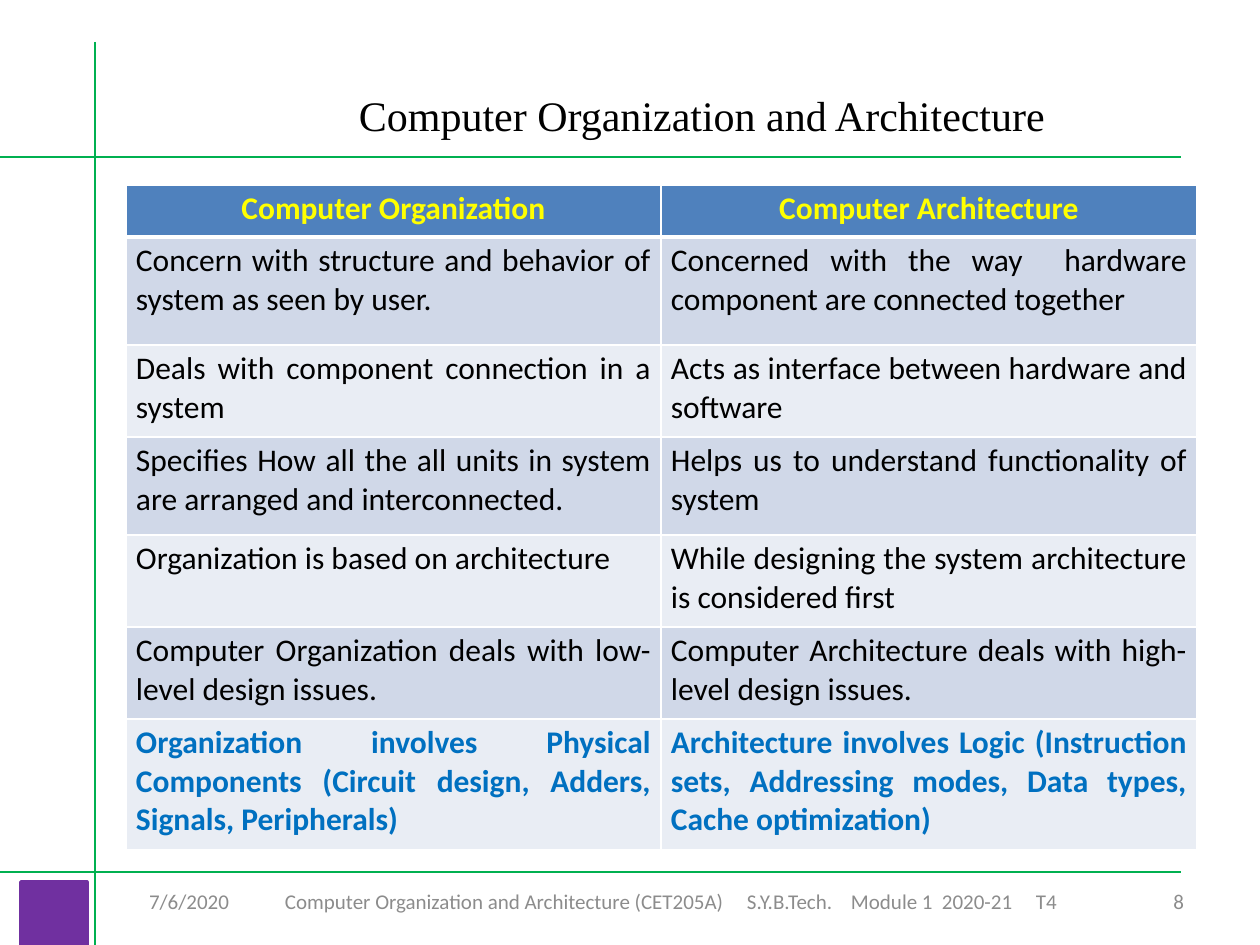
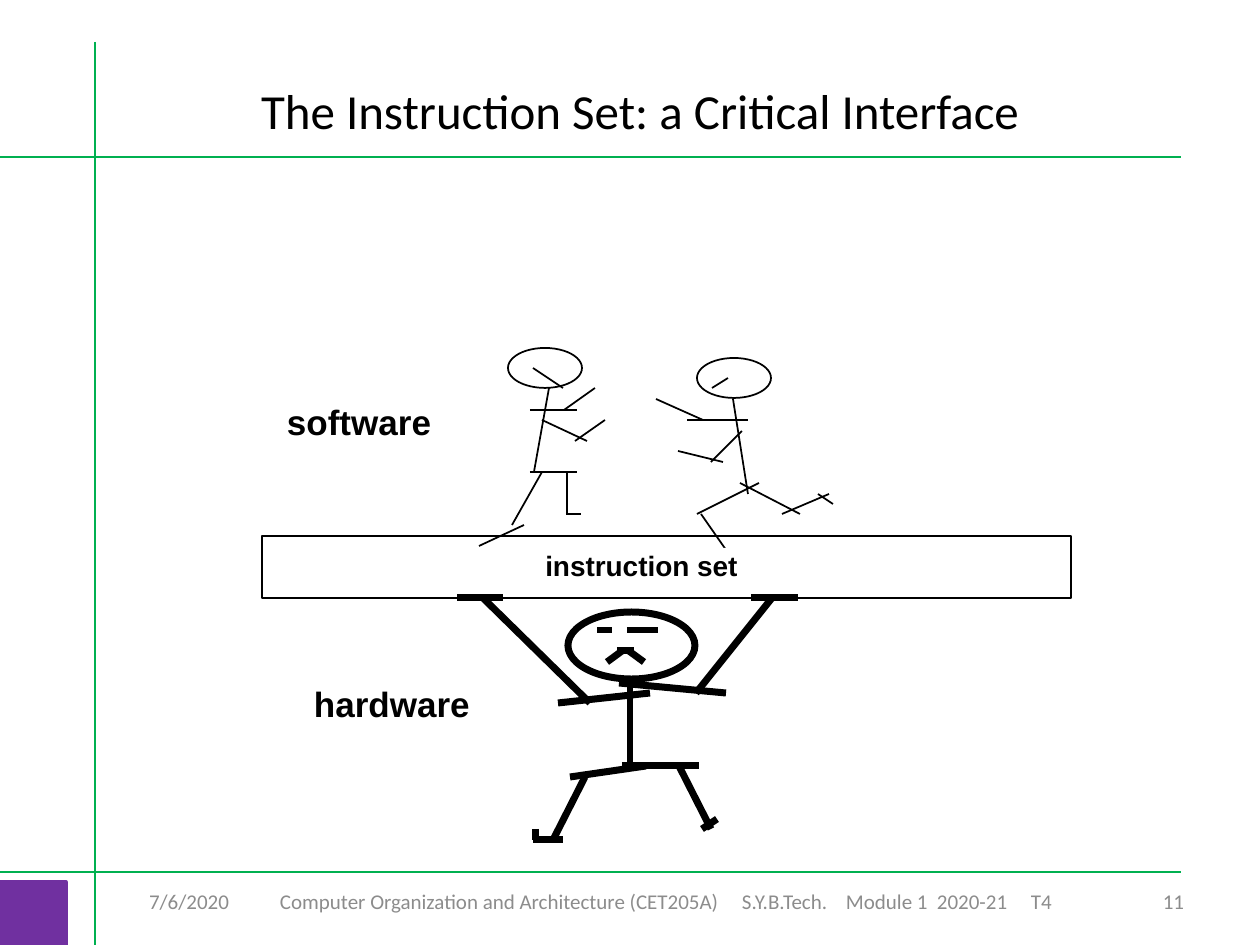
import pptx
import pptx.util
import pptx.dml.color
import pptx.enum.shapes
import pptx.enum.text
import pptx.oxml.ns
from lxml import etree

# ---- Shared look (lengths in px, 126 to the inch) ----
SCALE = 914400 / 126
SLIDE_SIZE = (1260, 945)
COLORS = {
    "rule": "00B050", "corner": "7030A0", "footer": "8C8C8C", "ink": "000000",
    "white": "FFFFFF", "header": "4F81BD", "header_text": "FFFF00",
    "band_dark": "D0D8E8", "band_light": "E9EDF4", "accent": "0070C0",
}
ALIGN = pptx.enum.text.PP_ALIGN
ANCHOR = pptx.enum.text.MSO_ANCHOR
SHAPE = pptx.enum.shapes.MSO_SHAPE

FRAME_RULES = [  # start, end, points
    ((0, 157, 1181, 157), 0.75),
    ((0, 872, 1181, 872), 1.25),
    ((95, 42, 95, 945), 1.25),
]
FOOTER_TOP, FOOTER_HEIGHT = 876, 50
DATE = "7/6/2020"
FOOTER_PARTS = ["Computer Organization and Architecture (CET205A)", "S.Y.B.Tech.",
                "Module 1", "2020-21", "T4"]
FOOTER_TABS = [462, 566, 657, 751]
WIDE_INSETS = (13, 6)
TIGHT_INSETS = (9, 4)

# ---- Slide 1 content: comparison table ----
COMPARISON = [
    ("Computer Organization", "Computer Architecture"),
    ("Concern with structure and behavior of system as seen by user.",
     "Concerned with the way  hardware component are connected together"),
    ("Deals with component connection in a system",
     "Acts as interface between hardware and software"),
    ("Specifies How all the all units in system are arranged and interconnected.",
     "Helps us to understand functionality of system"),
    ("Organization is based on architecture",
     "While designing the system architecture is considered first"),
    ("Computer Organization deals with low-level design issues.",
     "Computer Architecture deals with high-level design issues."),
    ("Organization involves Physical Components (Circuit design, Adders, Signals, Peripherals)",
     "Architecture involves Logic (Instruction sets, Addressing modes, Data types, "
     "Cache optimization)"),
]
ROW_HEIGHTS = [52, 108, 92, 98, 92, 92, 131]
COLUMN_WIDTHS = [535, 536]

# ---- Slide 2 content: stick figures around the instruction set ----
PLATFORM = (262, 536, 809, 62)
FIGURES = [
    {"head": (508, 348, 74, 40), "weight": 1, "strokes": [  # left player
        (549, 388, 534, 472), (530, 472, 577, 472), (567, 472, 567, 514),
        (566, 514, 581, 514), (542, 472, 512, 525), (524, 525, 479, 546),
        (542, 420, 587, 441), (575, 441, 605, 420), (530, 410, 577, 410),
        (564, 410, 595, 388), (563, 388, 533, 368)]},
    {"head": (697, 358, 74, 40), "weight": 1, "strokes": [  # right player
        (733, 399, 748, 494), (759, 483, 697, 514), (701, 514, 731, 557),
        (740, 483, 800, 514), (782, 514, 829, 494), (818, 494, 833, 504),
        (742, 431, 711, 462), (723, 462, 678, 451), (748, 420, 687, 420),
        (703, 420, 656, 399), (712, 388, 728, 378)]},
    {"head": (568, 612, 127, 67), "weight": 4, "strokes": [  # carrier
        (607, 662, 622, 651), (617, 651, 634, 651), (629, 651, 644, 662),
        (627, 630, 658, 630), (612, 630, 597, 630), (536, 829, 536, 840),
        (630, 683, 630, 766), (622, 766, 699, 766), (679, 766, 711, 829),
        (702, 829, 717, 819), (646, 766, 570, 777), (585, 777, 553, 840),
        (563, 840, 533, 840), (619, 683, 726, 693), (696, 693, 772, 598),
        (751, 598, 798, 598), (650, 693, 558, 703), (590, 703, 483, 598),
        (503, 598, 457, 598)]},
]
LABELS = [  # text, box, points, line spacing, alignment, fill
    ("instruction set", (471, 548, 341, 38), 16, 0.92, ALIGN.CENTER, "white"),
    ("software", (278, 403, 214, 43), 20, 0.85, ALIGN.LEFT, None),
    ("hardware", (305, 685, 229, 43), 20, 0.85, ALIGN.LEFT, None),
]


# ---- Helpers ----
def px(length):
    return pptx.util.Emu(round(length * SCALE))


def place(box):
    return [px(length) for length in box]


def rgb(color):
    return pptx.dml.color.RGBColor.from_string(COLORS[color])


def paint(fill, color):
    fill.solid()
    fill.fore_color.rgb = rgb(color)


def style_paragraph(paragraph, size, font, color, bold, align):
    paragraph.alignment = align
    for run in paragraph.runs:
        run.font.size = pptx.util.Pt(size)
        run.font.name = font
        run.font.bold = bold
        run.font.color.rgb = rgb(color)


def add_text(slide, box, text, size, font="Calibri", color="ink", bold=False,
             align=ALIGN.LEFT, anchor=ANCHOR.TOP, insets=WIDE_INSETS, wrap=True, grow=True):
    shape = slide.shapes.add_textbox(*place(box))
    frame = shape.text_frame
    frame.text = text
    frame.word_wrap = wrap
    frame.vertical_anchor = anchor
    frame.margin_left = frame.margin_right = px(insets[0])
    frame.margin_top = frame.margin_bottom = px(insets[1])
    if grow:
        frame.auto_size = pptx.enum.text.MSO_AUTO_SIZE.SHAPE_TO_FIT_TEXT
    style_paragraph(frame.paragraphs[0], size, font, color, bold, align)
    return shape


def add_line(slide, ends, color, weight):
    line = slide.shapes.add_connector(pptx.enum.shapes.MSO_CONNECTOR.STRAIGHT, *place(ends))
    line.line.color.rgb = rgb(color)
    line.line.width = pptx.util.Pt(weight)
    etree.SubElement(line._element.spPr, pptx.oxml.ns.qn("a:effectLst"))


def add_outline(slide, kind, box, line, weight, fill=None):
    shape = slide.shapes.add_shape(kind, *place(box))
    shape.shadow.inherit = False
    if fill:
        paint(shape.fill, fill)
    else:
        shape.fill.background()
    shape.line.color.rgb = rgb(line)
    shape.line.width = pptx.util.Pt(weight)


def add_footer_text(slide, left, width, text, align=ALIGN.LEFT):
    return add_text(slide, (left, FOOTER_TOP, width, FOOTER_HEIGHT), text, 12, color="footer",
                    align=align, anchor=ANCHOR.MIDDLE, grow=False)


def add_frame(presentation, number, corner_left, footer_left, footer_width, footer_inset):
    slide = presentation.slides.add_slide(presentation.slide_layouts[6])
    for ends, weight in FRAME_RULES:
        add_line(slide, ends, "rule", weight)
    add_outline(slide, SHAPE.RECTANGLE, (corner_left, 882, 66, 63), "corner", 2, "corner")
    add_footer_text(slide, 136, 220, DATE)
    add_footer_text(slide, 903, 294, number, ALIGN.RIGHT)

    # Course line, spaced by tab stops
    footer = add_footer_text(slide, footer_left, footer_width, "\t".join(FOOTER_PARTS))
    footer.text_frame.margin_left = px(footer_inset)
    properties = footer.text_frame.paragraphs[0]._p.get_or_add_pPr()
    tabs = etree.SubElement(properties, pptx.oxml.ns.qn("a:tabLst"))
    for stop in FOOTER_TABS:
        etree.SubElement(tabs, pptx.oxml.ns.qn("a:tab"), pos=str(px(stop)), algn="l")
    return slide


def add_borders(cell, widths):
    properties = cell._tc.get_or_add_tcPr()
    for side, width in widths.items():
        border = etree.SubElement(properties, pptx.oxml.ns.qn("a:ln" + side),
                                  w=str(pptx.util.Pt(width)))
        fill = etree.SubElement(border, pptx.oxml.ns.qn("a:solidFill"))
        etree.SubElement(fill, pptx.oxml.ns.qn("a:srgbClr"), val=COLORS["white"])


# ---- Slides ----
def build_comparison(presentation):
    slide = add_frame(presentation, "8", 21, 242, 861, 43)
    add_text(slide, (346, 84, 728, 63), "Computer Organization and Architecture", 24,
             font="Times New Roman", wrap=False)
    box = (126, 185, sum(COLUMN_WIDTHS), sum(ROW_HEIGHTS))
    table = slide.shapes.add_table(len(COMPARISON), len(COLUMN_WIDTHS), *place(box)).table
    table.horz_banding = False
    for column, width in zip(table.columns, COLUMN_WIDTHS):
        column.width = px(width)
    last = len(COMPARISON) - 1
    for index, (row, height) in enumerate(zip(table.rows, ROW_HEIGHTS)):
        row.height = px(height)
        header = index == 0
        fill = "header" if header else ("band_light", "band_dark")[index % 2]
        color = "header_text" if header else "accent" if index == last else "ink"
        borders = {"L": 1, "R": 1, "T": 3 if index == 1 else 1, "B": 3 if header else 1}
        for cell, text in zip(row.cells, COMPARISON[index]):
            cell.text_frame.text = text
            cell.margin_left = cell.margin_right = px(10)
            cell.margin_top = cell.margin_bottom = px(5)
            style_paragraph(cell.text_frame.paragraphs[0], 18, "Calibri", color,
                            index in (0, last), ALIGN.CENTER if header else ALIGN.JUSTIFY)
            add_borders(cell, borders)
            paint(cell.fill, fill)


def build_interface(presentation):
    slide = add_frame(presentation, "11", 0, 262, 809, 18)
    add_text(slide, (115, 76, 1050, 67), "The Instruction Set: a Critical Interface", 28,
             align=ALIGN.CENTER, insets=TIGHT_INSETS)
    add_outline(slide, SHAPE.RECTANGLE, PLATFORM, "ink", 1, "white")
    for figure in FIGURES:
        add_outline(slide, SHAPE.OVAL, figure["head"], "ink", figure["weight"])
        for ends in figure["strokes"]:
            add_line(slide, ends, "ink", figure["weight"])
    for text, box, size, spacing, align, fill in LABELS:
        label = add_text(slide, box, text, size, font="Arial", bold=True, align=align,
                         insets=TIGHT_INSETS)
        label.text_frame.paragraphs[0].line_spacing = spacing
        if fill:
            paint(label.fill, fill)


def main():
    presentation = pptx.Presentation()
    presentation.slide_width, presentation.slide_height = place(SLIDE_SIZE)
    build_comparison(presentation)
    build_interface(presentation)
    presentation.save("out.pptx")


if __name__ == "__main__":
    main()
